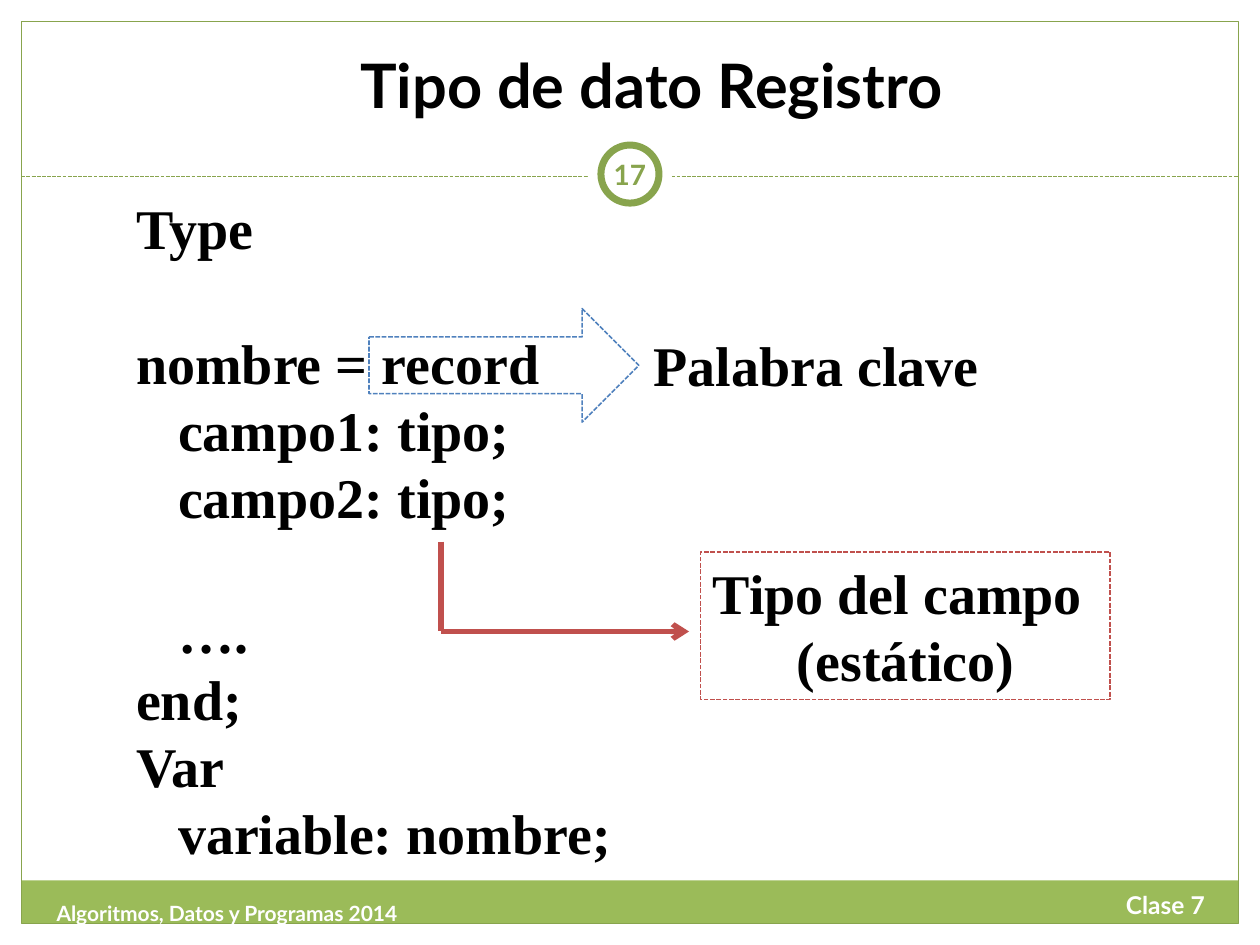
from pptx import Presentation
from pptx.dml.color import RGBColor as Rgb
from pptx.enum.dml import MSO_LINE as Dash
from pptx.enum.shapes import MSO_CONNECTOR as Conn, MSO_SHAPE as Kind
from pptx.enum.text import MSO_ANCHOR as Anchor, MSO_AUTO_SIZE as Auto, PP_ALIGN as Align
from pptx.oxml.ns import qn
from pptx.util import Cm, Pt
from lxml.etree import SubElement

HUES = {"white": "FFFFFF", "black": "000000", "green": "9BBB59",
        "olive": "88A44D", "blue": "4F81BD", "red": "C0504D"}
SANS, SERIF = "Lato", "Times New Roman"
PITCH = 38.4
CODE = [("Type", 0), ("nombre = record", 1), ("   campo1: tipo;", 0),
        ("   campo2: tipo;", 0), ("   ….", 1), ("end;", 0), ("Var", 0),
        ("   variable: nombre;", 0)]


def hue(name):
    """Return the named colour."""
    return Rgb.from_string(HUES[name])


def style(para, face, size, tint, align=Align.LEFT):
    """Format a paragraph and its runs."""
    para.alignment = align
    for run in para.runs:
        font = run.font
        font.name, font.size, font.bold = face, Pt(size), True
        font.color.rgb = hue(tint)


def stroke(line, tint, width, dashed=False):
    """Set colour, width and dash of a line."""
    line.color.rgb = hue(tint)
    line.width = Pt(width)
    if dashed:
        line.dash_style = Dash.SQUARE_DOT


def shape(slide, kind, box, fill=None, edge=None, width=0.75, dashed=False):
    """Add a flat preset shape."""
    item = slide.shapes.add_shape(kind, *map(Cm, box))
    item.shadow.inherit = False
    if fill:
        item.fill.solid()
        item.fill.fore_color.rgb = hue(fill)
    else:
        item.fill.background()
    if edge:
        stroke(item.line, edge, width, dashed)
    else:
        item.line.fill.background()
    return item


def link(slide, start, end, tint, width, dashed=False, arrow=False):
    """Add a straight line, with an arrowhead if asked."""
    item = slide.shapes.add_connector(Conn.STRAIGHT, *map(Cm, start + end))
    stroke(item.line, tint, width, dashed)
    props = item._element.spPr
    if arrow:
        SubElement(props.find(qn("a:ln")), qn("a:tailEnd"), type="arrow")
    SubElement(props, qn("a:effectLst"))


def label(slide, box, text, face, size, tint, align=Align.LEFT, wrap=True):
    """Add a one-line text box."""
    frame = slide.shapes.add_textbox(*map(Cm, box)).text_frame
    frame.word_wrap = wrap
    frame.text = text
    style(frame.paragraphs[0], face, size, tint, align)
    return frame


def place(item, box):
    """Move a placeholder into a box."""
    item.left, item.top, item.width, item.height = map(Cm, box)
    item.text_frame.auto_size = Auto.NONE
    item.text_frame.word_wrap = True


def border(slide, box):
    """Draw the frame, the dashed rule and the page ring."""
    left, top, wide, high = box
    shape(slide, Kind.RECTANGLE, (left, top + high - 0.87, wide, 0.86), "green")
    shape(slide, Kind.RECTANGLE, box, edge="olive")
    mid, rule = left + wide / 2, top + 3.13
    link(slide, (left, rule), (left + wide, rule), "olive", 0.75, True)
    for size, edge in ((1.7, None), (1.17, "olive")):
        spot = (mid - size / 2, top + 3.08 - size / 2, size, size)
        ring = shape(slide, Kind.OVAL, spot, "white", edge, 4)
    frame = ring.text_frame
    frame.margin_left = frame.margin_right = frame.margin_top = frame.margin_bottom = 0
    frame.word_wrap = False
    frame.vertical_anchor = Anchor.MIDDLE
    frame.text = "17"
    style(frame.paragraphs[0], SANS, 16, "olive", Align.CENTER)


def head(slide, box):
    """Fill the title."""
    title = slide.shapes.title
    place(title, box)
    frame = title.text_frame
    frame.vertical_anchor = Anchor.BOTTOM
    frame.text = "Tipo de dato Registro"
    para = frame.paragraphs[0]
    para.line_spacing = 0.9
    style(para, SANS, 35, "black", Align.CENTER)


def code(slide, box):
    """Fill the body with the record declaration."""
    body = slide.placeholders[1]
    place(body, box)
    frame = body.text_frame
    frame.vertical_anchor = Anchor.TOP
    frame.text = "\n".join(text for text, gap in CODE)
    for para, (text, gap) in zip(frame.paragraphs, CODE):
        props = para._p.get_or_add_pPr()
        props.set("marL", "0")
        props.set("indent", "0")
        SubElement(props, qn("a:buNone"))
        para.line_spacing = Pt(PITCH)
        para.space_before = Pt(PITCH * gap)
        style(para, SERIF, 32, "black")


def key(slide, box):
    """Point from the record keyword to its label."""
    left, top, wide, high = box
    shape(slide, Kind.RIGHT_ARROW, box, edge="blue", width=0.91, dashed=True)
    spot = (left + wide + 0.05, top + 0.31, 7.06, 1.63)
    frame = label(slide, spot, "Palabra clave", SERIF, 32, "black", wrap=False)
    frame.paragraphs[0].line_spacing = Pt(PITCH)


def field(slide, box):
    """Draw the field type note and the bent arrow to it."""
    left, top, wide, high = box
    note = shape(slide, Kind.RECTANGLE, box, "white", "red", 0.91, True)
    frame = note.text_frame
    frame.word_wrap = True
    frame.vertical_anchor = Anchor.TOP
    frame.text = "Tipo del campo\n(estático)"
    for para in frame.paragraphs:
        para.line_spacing = Pt(PITCH)
        style(para, SERIF, 32, "black")
    frame.paragraphs[1]._p.get_or_add_pPr().set("marL", str(Pt(48)))
    bend = (left - 5.23, top + 1.6)
    link(slide, (bend[0], top - 0.21), bend, "red", 3)
    link(slide, bend, (left - 0.23, bend[1]), "red", 3, arrow=True)


def foot(slide, box):
    """Write the course and the class in the bottom bar."""
    left, top, wide, high = box
    label(slide, (left + wide - 8.46, top, 8.46, high), "Clase 7",
          SANS, 14, "white", Align.RIGHT)
    label(slide, (left, top + 0.22, 9.96, high),
          "Algoritmos, Datos y Programas 2014", SANS, 12, "white")


def main():
    """Build and save the slide."""
    deck = Presentation()
    deck.slide_width, deck.slide_height = Cm(25.4), Cm(19.05)
    slide = deck.slides.add_slide(deck.slide_layouts[1])
    border(slide, (0.43, 0.43, 24.54, 18.19))
    head(slide, (3.71, 0.89, 18.85, 1.7))
    code(slide, (2.49, 3.78, 10.8, 13.82))
    key(slide, (7.44, 6.22, 5.44, 2.29))
    field(slide, (14.12, 11.13, 8.26, 2.97))
    foot(slide, (0.89, 17.81, 23.65, 1.02))
    deck.save("out.pptx")


if __name__ == "__main__":
    main()
